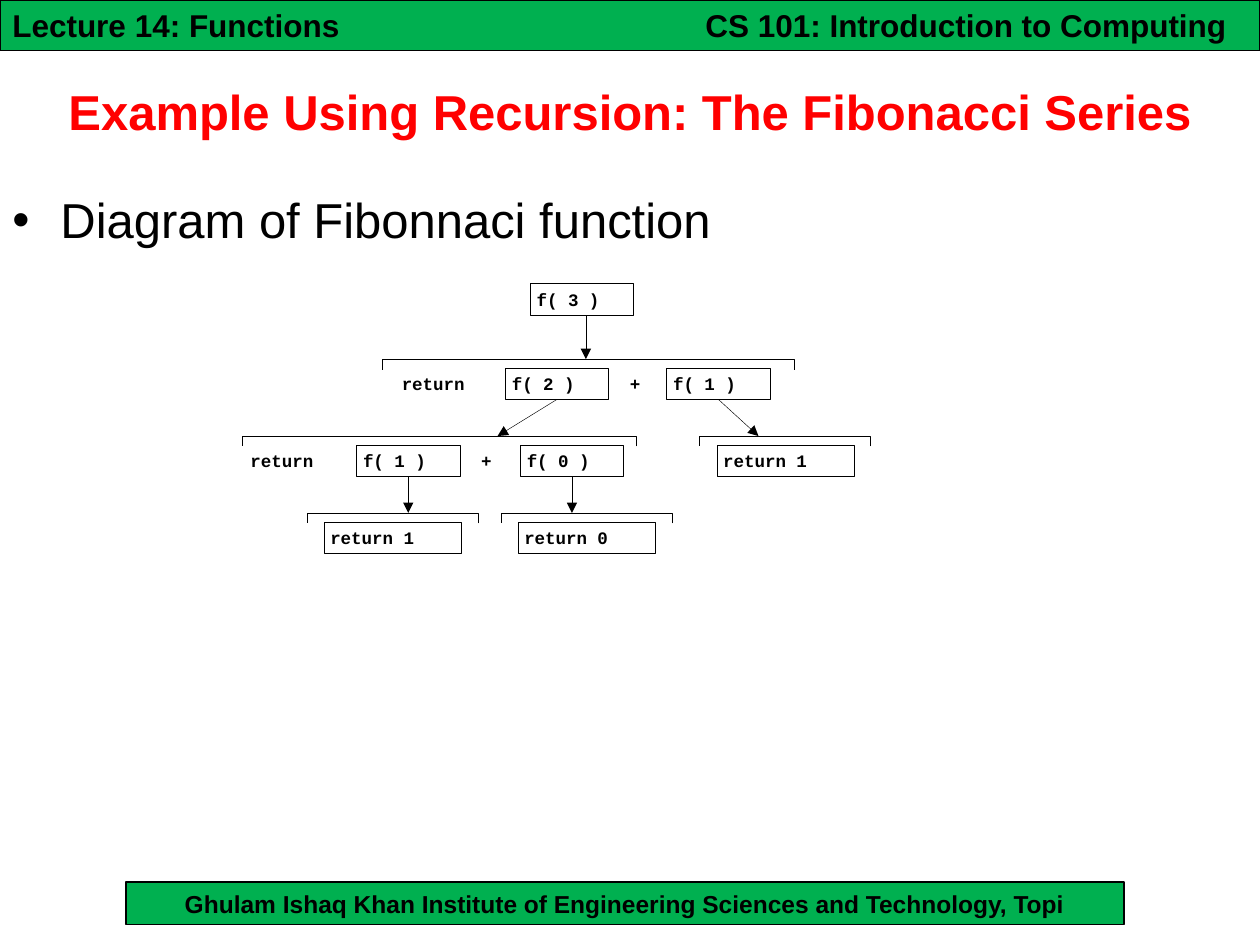
from dataclasses import dataclass

from lxml import etree
from pptx import Presentation
from pptx.dml.color import RGBColor
from pptx.enum.shapes import MSO_CONNECTOR, MSO_SHAPE
from pptx.enum.text import MSO_ANCHOR, PP_ALIGN
from pptx.oxml.ns import qn
from pptx.util import Cm, Pt

RECTANGLE = MSO_SHAPE.RECTANGLE
STRAIGHT = MSO_CONNECTOR.STRAIGHT
LEFT, CENTER = PP_ALIGN.LEFT, PP_ALIGN.CENTER
TOP, MIDDLE = MSO_ANCHOR.TOP, MSO_ANCHOR.MIDDLE
BOTTOM_SITE = 2


@dataclass(frozen=True)
class Theme:
    green: RGBColor = RGBColor(0x00, 0xB0, 0x50)
    red: RGBColor = RGBColor(0xFF, 0x00, 0x00)
    black: RGBColor = RGBColor(0x00, 0x00, 0x00)
    font: str = "Arial"
    code_font: str = "Courier New"
    heading_size: int = 28
    header_size: int = 18
    footer_size: int = 14
    code_size: int = 10
    banner_line: float = 0.75
    thin_line: float = 0.25


@dataclass(frozen=True)
class TextStyle:
    size: int
    color: RGBColor
    font: str = Theme.font
    bold: bool = True
    align: PP_ALIGN = LEFT
    anchor: MSO_ANCHOR = MIDDLE
    inset_x: float = 0.25
    inset_y: float = 0.13


@dataclass(frozen=True)
class Call:
    """A boxed call or return value; lengths in cm."""
    text: str
    left: float
    top: float
    width: float = 2.08


@dataclass(frozen=True)
class Bracket:
    left: float
    top: float
    width: float


@dataclass(frozen=True)
class Label:
    text: str
    left: float
    top: float
    width: float


THEME = Theme()
HEADER = TextStyle(THEME.header_size, THEME.black)
FOOTER = TextStyle(THEME.footer_size, THEME.black, align=CENTER)
TITLE = TextStyle(THEME.heading_size, THEME.red, align=CENTER)
BODY = TextStyle(THEME.heading_size, THEME.black, bold=False, anchor=TOP, inset_y=0.22)
CODE = TextStyle(THEME.code_size, THEME.black, THEME.code_font, inset_x=0.13, inset_y=0)
PLAIN_CODE = TextStyle(THEME.code_size, THEME.black, THEME.code_font, inset_x=0, inset_y=0)

# Levels of the call tree, in cm
BRACKET_TOPS = [7.24 + 1.55 * level for level in range(3)]
ROW_TOPS = [top + 0.18 for top in BRACKET_TOPS]
BOX_HEIGHT, BRACKET_HEIGHT = 0.63, 0.21
RETURN_WIDTH, RETURN_BRACKET = 2.77, 3.45

ROOT = Call("f( 3 )", 10.69, 5.72)
CALL_2 = Call("f( 2 )", 10.19, ROW_TOPS[0])
CALL_1 = Call("f( 1 )", 13.44, ROW_TOPS[0])
INNER_1 = Call("f( 1 )", 7.19, ROW_TOPS[1])
INNER_0 = Call("f( 0 )", 10.49, ROW_TOPS[1])
RETURNS = [
    Call("return 1", 14.45, ROW_TOPS[1], RETURN_WIDTH),
    Call("return 1", 6.53, ROW_TOPS[2], RETURN_WIDTH),
    Call("return 0", 10.44, ROW_TOPS[2], RETURN_WIDTH),
]
BRACKETS = [
    Bracket(7.7, BRACKET_TOPS[0], 8.31),
    Bracket(4.88, BRACKET_TOPS[1], 7.95),
    Bracket(14.1, BRACKET_TOPS[1], RETURN_BRACKET),
    Bracket(6.2, BRACKET_TOPS[2], RETURN_BRACKET),
    Bracket(10.11, BRACKET_TOPS[2], RETURN_BRACKET),
]
LABELS = [
    Label("return", 8.1, ROW_TOPS[0], 2.05),
    Label("+", 12.7, ROW_TOPS[0], 0.46),
    Label("return", 5.05, ROW_TOPS[1], 2.05),
    Label("+", 9.7, ROW_TOPS[1], 0.46),
]
# Call, x of the arrow tip, level of the bracket it points at
JOINED_ARROWS = [
    (CALL_2, 10.03, 1),
    (CALL_1, 15.29, 1),
    (INNER_1, 8.23, 2),
    (INNER_0, 11.53, 2),
]


def write(shape, text: str, style: TextStyle) -> None:
    frame = shape.text_frame
    frame.text = text
    frame.word_wrap = True
    frame.vertical_anchor = style.anchor
    frame.margin_left = frame.margin_right = Cm(style.inset_x)
    frame.margin_top = frame.margin_bottom = Cm(style.inset_y)
    para = frame.paragraphs[0]
    para.alignment = style.align
    font = para.runs[0].font
    font.name, font.size, font.bold = style.font, Pt(style.size), style.bold
    font.color.rgb = style.color


def add_text(page, text: str, left: float, top: float, width: float, height: float,
             style: TextStyle):
    box = page.shapes.add_textbox(Cm(left), Cm(top), Cm(width), Cm(height))
    write(box, text, style)
    return box


def add_box(page, text: str, left: float, top: float, width: float, height: float,
            style: TextStyle, line: float, fill: RGBColor | None = None):
    box = page.shapes.add_shape(RECTANGLE, Cm(left), Cm(top), Cm(width), Cm(height))
    box.shadow.inherit = False
    if fill is None:
        box.fill.background()
    else:
        box.fill.solid()
        box.fill.fore_color.rgb = fill
    box.line.color.rgb = THEME.black
    box.line.width = Pt(line)
    write(box, text, style)
    return box


def add_call(page, call: Call):
    return add_box(page, call.text, call.left, call.top, call.width, BOX_HEIGHT,
                   CODE, THEME.thin_line)


def add_bracket(page, bracket: Bracket) -> None:
    left, right = Cm(bracket.left), Cm(bracket.left + bracket.width)
    top, bottom = Cm(bracket.top), Cm(bracket.top + BRACKET_HEIGHT)
    builder = page.shapes.build_freeform(right, bottom)
    builder.add_line_segments([(right, top), (left, top), (left, bottom)], close=False)
    shape = builder.convert_to_shape()
    shape.shadow.inherit = False
    shape.fill.background()
    shape.line.color.rgb = THEME.black
    shape.line.width = Pt(THEME.thin_line)


def add_arrow(page, start_x: float, start_y: float, end_x: float, end_y: float):
    arrow = page.shapes.add_connector(STRAIGHT, Cm(start_x), Cm(start_y), Cm(end_x), Cm(end_y))
    arrow.line.color.rgb = THEME.black
    arrow.line.width = Pt(THEME.thin_line)
    etree.SubElement(arrow.line._get_or_add_ln(), qn("a:tailEnd"), type="triangle")
    etree.SubElement(arrow._element.spPr, qn("a:effectLst"))
    return arrow


def add_bullet(para, indent: float) -> None:
    properties = para._p.get_or_add_pPr()
    properties.set("marL", str(Cm(indent)))
    properties.set("indent", str(-Cm(indent)))
    etree.SubElement(properties, qn("a:buFont"), typeface=THEME.font)
    etree.SubElement(properties, qn("a:buChar"), char="•")


def main() -> None:
    deck = Presentation()
    deck.slide_width, deck.slide_height = Cm(25.4), Cm(19.05)
    page = deck.slides.add_slide(deck.slide_layouts[6])

    # Banners
    add_box(page, "Ghulam Ishaq Khan Institute of Engineering Sciences and Technology, Topi",
            2.54, 17.78, 20.12, 0.86, FOOTER, THEME.banner_line, THEME.green)
    add_box(page, "Lecture 14: Functions", 0, 0, 25.4, 1.02, HEADER,
            THEME.banner_line, THEME.green)
    add_text(page, "CS 101: Introduction to Computing", 13.97, 0, 11.43, 1.02, HEADER)

    # Title and bullet
    add_text(page, "Example Using Recursion: The Fibonacci Series", 0, 1.07, 25.4, 2.34, TITLE)
    body = add_text(page, "Diagram of Fibonnaci function", 0, 3.61, 25.4, 14.17, BODY)
    add_bullet(body.text_frame.paragraphs[0], 0.97)

    # Call tree
    for bracket in BRACKETS:
        add_bracket(page, bracket)
    for call in [ROOT, *RETURNS]:
        add_call(page, call)
    add_arrow(page, 11.81, ROOT.top + BOX_HEIGHT, 11.81, BRACKET_TOPS[0])
    for call, tip, level in JOINED_ARROWS:
        box = add_call(page, call)
        arrow = add_arrow(page, call.left + call.width / 2, call.top + BOX_HEIGHT,
                          tip, BRACKET_TOPS[level])
        arrow.begin_connect(box, BOTTOM_SITE)
    for label in LABELS:
        add_text(page, label.text, label.left, label.top, label.width, BOX_HEIGHT, PLAIN_CODE)

    deck.save("out.pptx")


if __name__ == "__main__":
    main()
